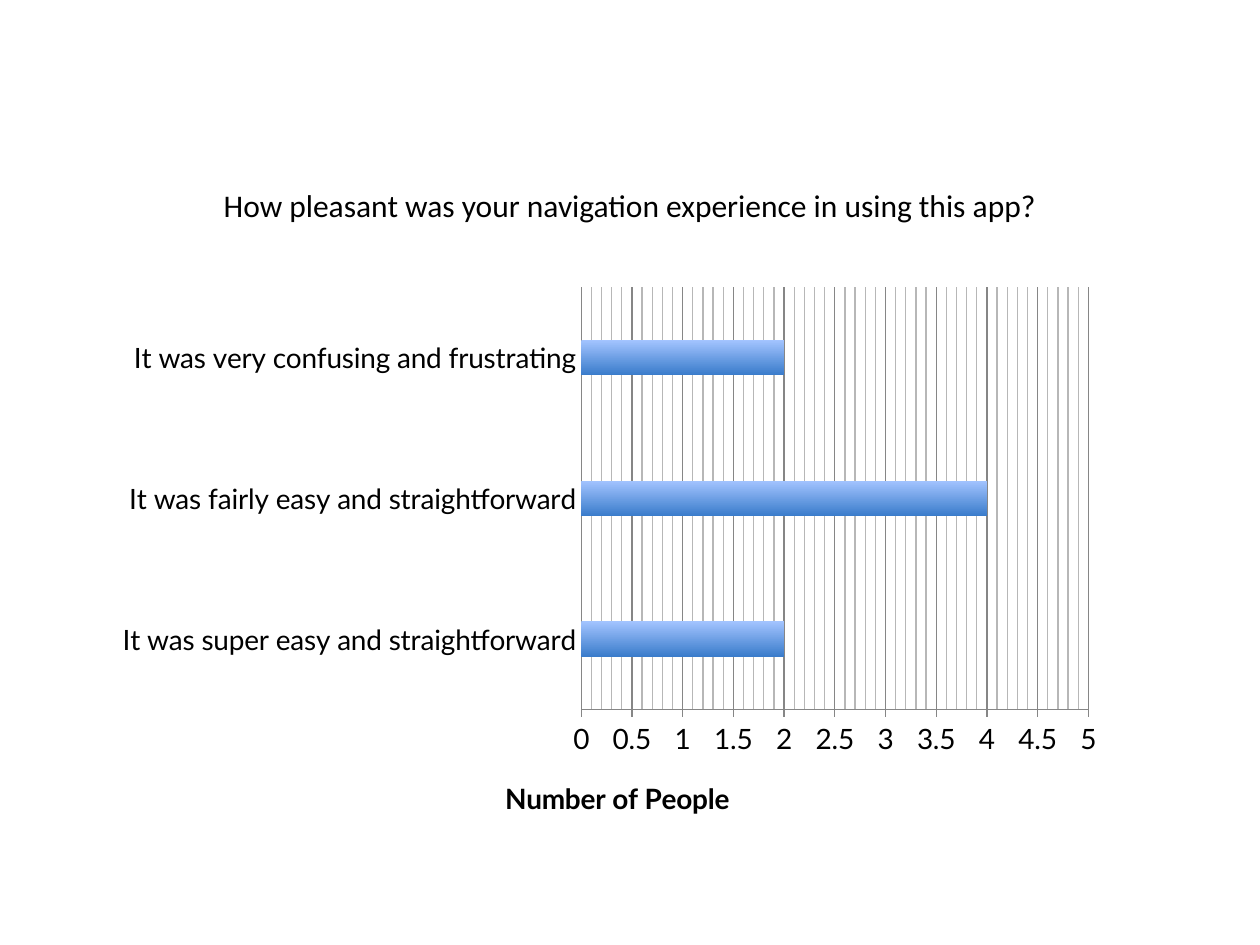
from lxml import etree
from pptx import Presentation, util as u
from pptx.chart.data import CategoryChartData
from pptx.dml.color import RGBColor
from pptx.enum import chart as ch, text
from pptx.oxml.ns import qn

QUESTION = "How pleasant was your navigation experience in using this app?"
AXIS_TITLE = "Number of People"
ANSWERS = [
    ("It was super easy and straightforward", 2),
    ("It was fairly easy and straightforward", 4),
    ("It was very confusing and frustrating", 2),
]

THEME = {
    "ink": RGBColor(0, 0, 0),
    "line": RGBColor(0x86, 0x86, 0x86),
    "minor_line": RGBColor(0xB7, 0xB7, 0xB7),
    "line_width": u.Pt(0.75),
    "bar_top": RGBColor(0xA3, 0xC4, 0xFF),
    "bar_bottom": RGBColor(0x3A, 0x7C, 0xCB),
    "question": {"name": "Calibri", "size": u.Pt(18)},
    "chart": {"name": "Lato", "size": u.Pt(16), "bold": False},
    "axis_title": {"name": "Lato", "size": u.Pt(16), "bold": True},
}
SLIDE_SIZE = (10, 7.5)
QUESTION_BOX = (0.165, 0.19, 0.67, 0.053)
CHART_BOX = (0.083, 0.292, 0.805, 0.592)
PLOT_SHARES = {"x": 0.47, "y": 0.02, "w": 0.5, "h": 0.755}
AXIS_TITLE_SHARES = {"x": 0.39, "y": 0.89}


def place(shares):
    return [u.Inches(share * SLIDE_SIZE[i % 2]) for i, share in enumerate(shares)]


def apply(target, values):
    for key, value in values.items():
        setattr(target, key, value)


def style_font(font, style):
    apply(font, THEME[style])
    font.color.rgb = THEME["ink"]


def draw_line(line):
    line.color.rgb = THEME["line"]
    line.width = THEME["line_width"]


def draw_minor_gridlines(axis):
    gridlines = axis._element.find(qn("c:minorGridlines"))
    shape_format = etree.SubElement(gridlines, qn("c:spPr"))
    line = etree.SubElement(shape_format, qn("a:ln"), w=str(int(THEME["line_width"])))
    fill = etree.SubElement(line, qn("a:solidFill"))
    etree.SubElement(fill, qn("a:srgbClr"), val=str(THEME["minor_line"]))


def manual_layout(parent, shares, before, inner=False):
    """Fix a chart part's position as shares of the chart, ahead of the named sibling."""
    for old in parent.findall(qn("c:layout")):
        parent.remove(old)
    layout = etree.Element(qn("c:layout"))
    manual = etree.SubElement(layout, qn("c:manualLayout"))
    settings = [("layoutTarget", "inner")] if inner else []
    settings += [(f"{axis}Mode", "edge") for axis in "xy"]
    settings += list(shares.items())
    for tag, value in settings:
        etree.SubElement(manual, qn(f"c:{tag}")).set("val", str(value))
    parent.find(qn(before)).addprevious(layout)


def add_question(slide):
    frame = slide.shapes.add_textbox(*place(QUESTION_BOX)).text_frame
    apply(frame, {"word_wrap": True, "auto_size": text.MSO_AUTO_SIZE.SHAPE_TO_FIT_TEXT})
    paragraph = frame.paragraphs[0]
    paragraph.alignment = text.PP_ALIGN.CENTER
    run = paragraph.add_run()
    run.text = QUESTION
    style_font(run.font, "question")


def style_axes(chart):
    answers, people = chart.category_axis, chart.value_axis
    apply(answers, {"major_tick_mark": ch.XL_TICK_MARK.NONE, "has_major_gridlines": False})
    apply(people, {
        "minimum_scale": 0, "maximum_scale": 5, "major_unit": 0.5, "minor_unit": 0.1,
        "has_major_gridlines": True, "has_minor_gridlines": True,
        "major_tick_mark": ch.XL_TICK_MARK.OUTSIDE, "has_title": True,
    })
    apply(people.tick_labels, {"number_format": "General", "number_format_is_linked": False})
    for axis in (answers, people):
        style_font(axis.tick_labels.font, "chart")
        draw_line(axis.format.line)
    draw_line(people.major_gridlines.format.line)
    draw_minor_gridlines(people)

    title = people.axis_title
    run = title.text_frame.paragraphs[0].add_run()
    run.text = AXIS_TITLE
    style_font(run.font, "axis_title")
    manual_layout(title._element, AXIS_TITLE_SHARES, "c:overlay")


def add_answers(slide):
    data = CategoryChartData()
    data.categories = [answer for answer, _ in ANSWERS]
    data.add_series("Series 1", [count for _, count in ANSWERS])
    chart = slide.shapes.add_chart(
        ch.XL_CHART_TYPE.BAR_CLUSTERED, *place(CHART_BOX), data).chart
    apply(chart, {"has_legend": False, "has_title": False})
    style_font(chart.font, "chart")

    plot = chart.plots[0]
    apply(plot, {"gap_width": 300, "vary_by_categories": False})
    fill = plot.series[0].format.fill
    fill.gradient()
    fill.gradient_angle = 270
    for stop, color in zip(fill.gradient_stops, ("bar_top", "bar_bottom")):
        stop.color.rgb = THEME[color]

    style_axes(chart)
    plot_area = chart._chartSpace.chart.plotArea
    manual_layout(plot_area, PLOT_SHARES, "c:barChart", inner=True)


def main():
    deck = Presentation()
    deck.slide_width, deck.slide_height = map(u.Inches, SLIDE_SIZE)
    slide = deck.slides.add_slide(deck.slide_layouts[6])
    add_question(slide)
    add_answers(slide)
    deck.save("out.pptx")


if __name__ == "__main__":
    main()
